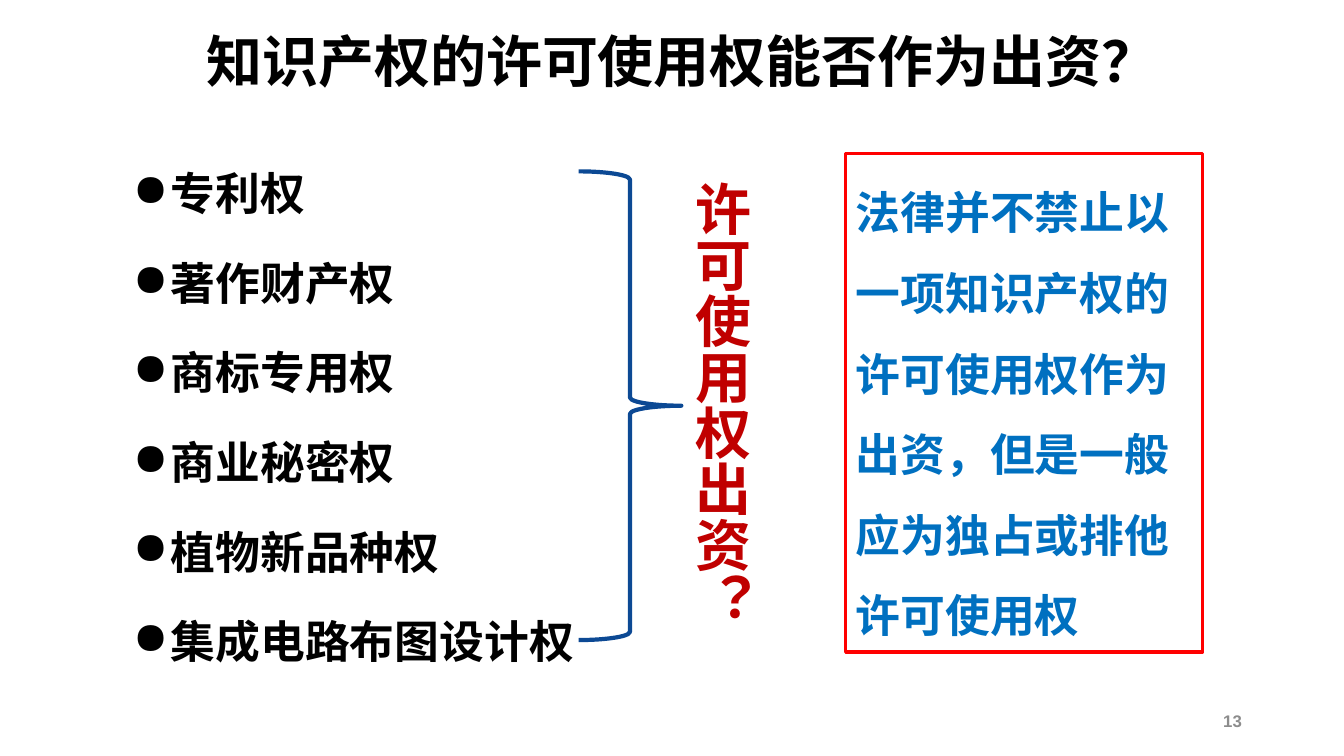
from dataclasses import dataclass
from typing import Optional

import pptx
import pptx.dml.color
import pptx.enum.shapes
import pptx.enum.text
import pptx.oxml
import pptx.oxml.ns
import pptx.util

Pt = pptx.util.Pt
Align = pptx.enum.text.PP_ALIGN
Anchor = pptx.enum.text.MSO_ANCHOR
Preset = pptx.enum.shapes.MSO_SHAPE

CHINESE_FONT = "Noto Sans CJK SC"
BULLET_INDENT = 27


@dataclass
class TextBlock:
    """Bold text in one style; all lengths in points."""
    lines: list[str]
    left: float
    top: float
    width: float
    height: float
    size: float
    color: str
    font: str = CHINESE_FONT
    align: Align = Align.LEFT
    anchor: Anchor = Anchor.TOP
    line_spacing: float = 1.0
    space_before: float = 0
    bullet: Optional[str] = None
    vertical: bool = False
    border: Optional[str] = None


def rgb(value: str) -> pptx.dml.color.RGBColor:
    return pptx.dml.color.RGBColor.from_string(value)


def outline(shape, color: str, width: float) -> None:
    shape.shadow.inherit = False
    shape.fill.background()
    shape.line.color.rgb = rgb(color)
    shape.line.width = Pt(width)


def add_bullet(paragraph, character: str) -> None:
    properties = paragraph._p.get_or_add_pPr()
    properties.set("marL", str(Pt(BULLET_INDENT)))
    properties.set("indent", str(-Pt(BULLET_INDENT)))
    bullet = pptx.oxml.ns.qn("a:buChar")
    properties.append(properties.makeelement(bullet, {"char": character}))


def add_run(paragraph, text: str, block: TextBlock) -> None:
    run = paragraph.add_run()
    run.text = text
    run.font.name = block.font
    run.font.size = Pt(block.size)
    run.font.bold = True
    run.font.color.rgb = rgb(block.color)
    # East Asian characters take their font from a separate element
    properties = run._r.get_or_add_rPr()
    properties.set("lang", "zh-CN")
    east_asian = pptx.oxml.ns.qn("a:ea")
    properties.append(properties.makeelement(east_asian, {"typeface": block.font}))


def add_text(slide, block: TextBlock) -> None:
    place = [Pt(value) for value in (block.left, block.top, block.width, block.height)]
    if block.border:
        shape = slide.shapes.add_shape(Preset.RECTANGLE, *place)
        outline(shape, block.border, 2.25)
    else:
        shape = slide.shapes.add_textbox(*place)
    frame = shape.text_frame
    frame.word_wrap = True
    frame.vertical_anchor = block.anchor
    if block.vertical:
        frame._txBody.bodyPr.set("vert", "eaVert")
    for index, line in enumerate(block.lines):
        paragraph = frame.add_paragraph() if index else frame.paragraphs[0]
        paragraph.alignment = block.align
        paragraph.line_spacing = block.line_spacing
        paragraph.space_before = Pt(block.space_before)
        if block.bullet:
            add_bullet(paragraph, block.bullet)
        add_run(paragraph, line, block)


def add_brace(slide) -> None:
    brace = slide.shapes.add_shape(
        Preset.RIGHT_BRACE, Pt(413.3), Pt(122.4), Pt(73.4), Pt(334.8))
    brace.adjustments[0] = 0.08
    brace.adjustments[1] = 0.5
    outline(brace, "0C4994", 3)


TITLE = TextBlock(
    ["知识产权的许可使用权能否作为出资？"], 60.5, -2.2, 853.2, 90, 40, "000000",
    align=Align.CENTER, anchor=Anchor.MIDDLE)
RIGHTS = TextBlock(
    ["专利权", "著作财产权", "商标专用权", "商业秘密权", "植物新品种权", "集成电路布图设计权"],
    87.8, 95.8, 803.5, 409, 32, "000000",
    line_spacing=1.5, space_before=6.4, bullet="●")
ANSWER = TextBlock(
    ["法律并不禁止以一项知识产权的许可使用权作为出资，但是一般应为独占或排他许可使用权"],
    604.1, 109.4, 254.9, 356.4, 32, "0070C0", line_spacing=1.5, border="FF0000")
QUESTION = TextBlock(
    ["许可使用权出资？"], 488.2, 122.4, 78.5, 350.6, 40, "C00000",
    line_spacing=1.5, vertical=True)
PAGE_NUMBER = TextBlock(
    ["13"], 678.2, 500.4, 216, 28.8, 12, "8C8C8C", font="Arial",
    align=Align.RIGHT, anchor=Anchor.MIDDLE)


def main() -> None:
    presentation = pptx.Presentation()
    presentation.slide_width = Pt(960)
    presentation.slide_height = Pt(540)
    slide = presentation.slides.add_slide(presentation.slide_layouts[6])

    # Title and the list of rights, gathered by the brace
    add_text(slide, TITLE)
    add_text(slide, RIGHTS)
    add_brace(slide)

    # Answer, question and page number
    for block in (ANSWER, QUESTION, PAGE_NUMBER):
        add_text(slide, block)

    presentation.save("out.pptx")


if __name__ == "__main__":
    main()
